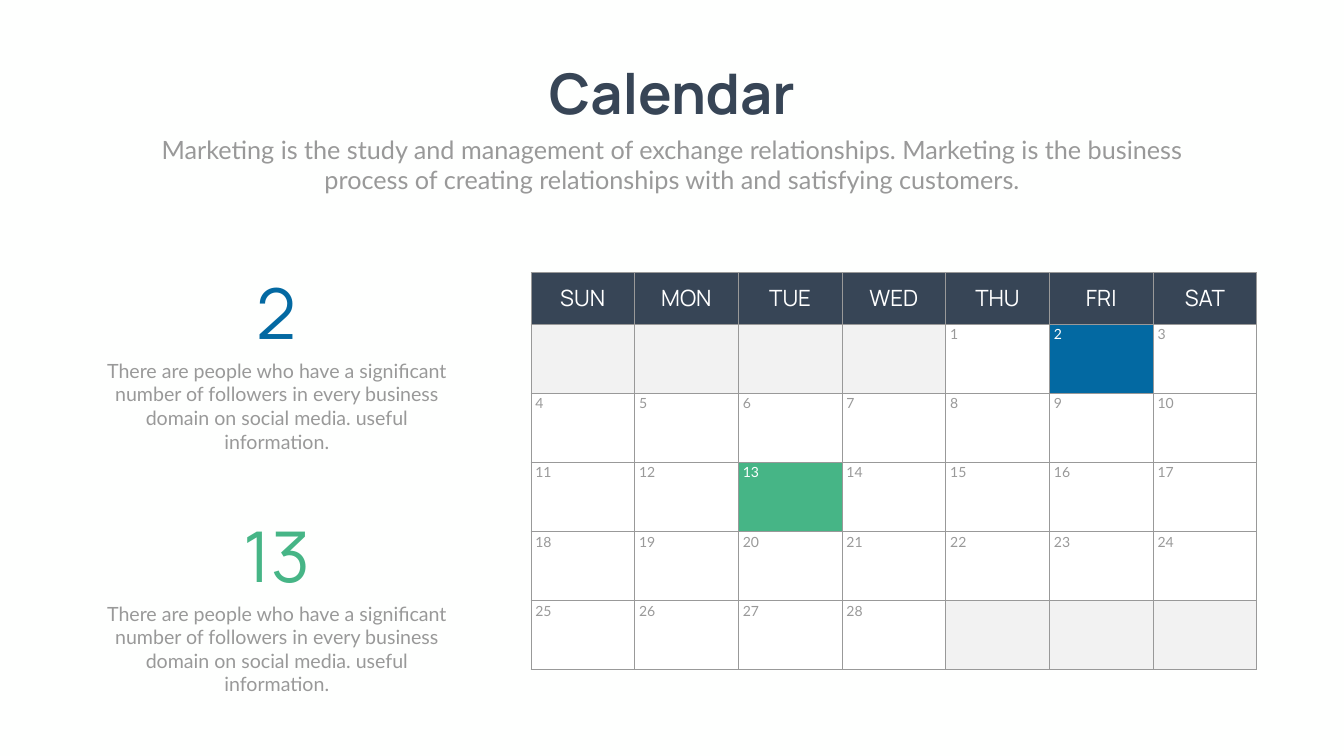
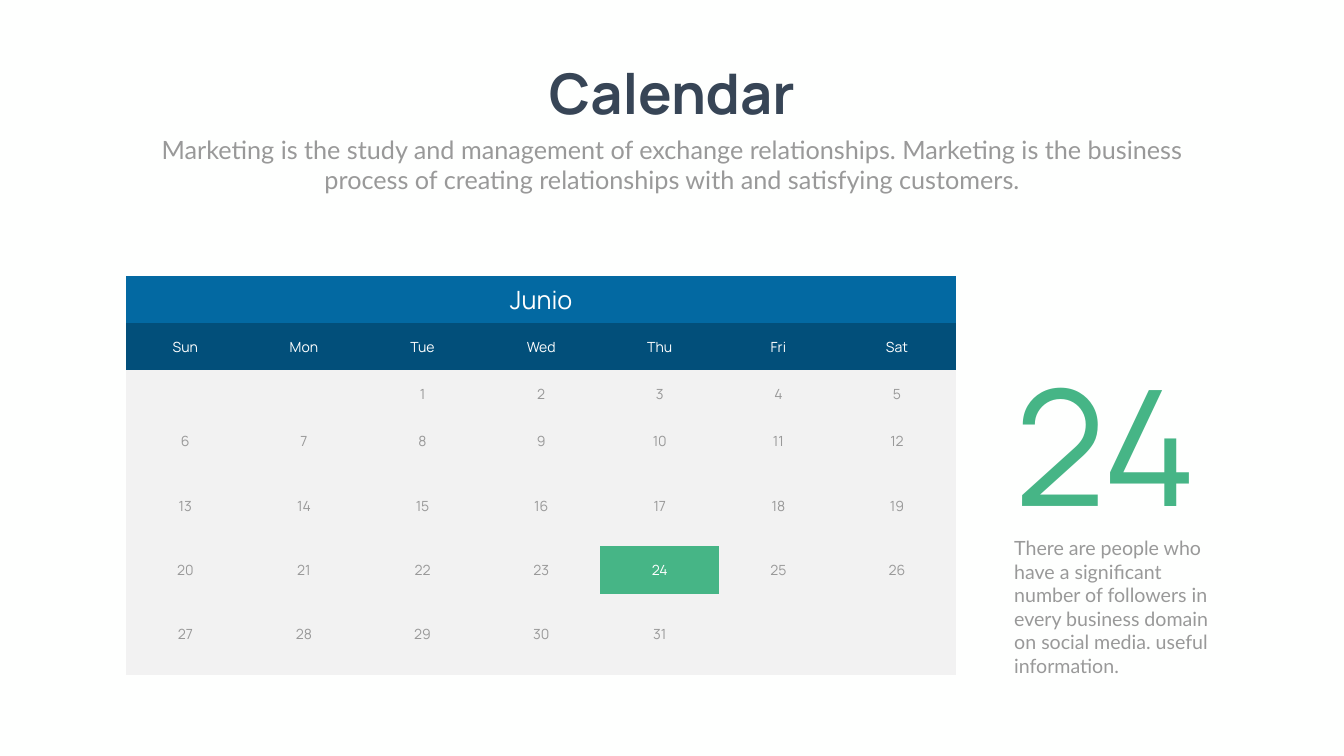
from lxml import etree
from pptx import Presentation
from pptx import util as u
from pptx.dml.color import RGBColor
from pptx.enum import text
from pptx.oxml import ns

PX = 9144  # EMU per px, 100 px to the inch
COLORS = {
    "page": "FEFFFE", "navy": "374556", "gray": "999999", "white": "FFFFFF",
    "pale": "F2F2F2", "blue": "0369A2", "deep": "024F7A", "green": "46B586",
}
HEAD_FONT, BODY_FONT = "Manrope", "Lato"
NO_STYLE = "{2D5ABB26-0587-4C30-8999-92F81FD0307C}"
LEFT, CENTER = text.PP_ALIGN.LEFT, text.PP_ALIGN.CENTER
TOP, MIDDLE = text.MSO_ANCHOR.TOP, text.MSO_ANCHOR.MIDDLE

SUBTITLE = ("Marketing is the study and management of exchange relationships. "
            "Marketing is the business process of creating relationships with "
            "and satisfying customers.")
NOTE = ("There are people who have a significant number of followers in every "
        "business domain on social media. useful information.")
DAYS = ["Sun", "Mon", "Tue", "Wed", "Thu", "Fri", "Sat"]


def rgb(name):
    return RGBColor.from_string(COLORS[name])


def emu(box):
    return [u.Emu(side * PX) for side in box]


def write(frame, words, size, font, color, align=CENTER, bold=False):
    frame.text = words
    para = frame.paragraphs[0]
    para.alignment = align
    para.font.size = u.Pt(size)
    para.font.name = font
    para.font.bold = bold
    para.font.color.rgb = rgb(color)


def add_label(shapes, box, words, size, font, color, align=CENTER):
    frame = shapes.add_textbox(*emu(box)).text_frame
    frame.word_wrap = True
    frame.auto_size = text.MSO_AUTO_SIZE.SHAPE_TO_FIT_TEXT
    write(frame, words, size, font, color, align)


# Title and subtitle shared by both slides
def add_page(deck):
    page = deck.slides.add_slide(deck.slide_layouts[5])
    title = page.shapes.title
    title.left, title.top, title.width, title.height = emu((1053, 112, 560, 145))
    frame = title.text_frame
    frame.word_wrap = False
    frame.vertical_anchor = TOP
    frame.auto_size = text.MSO_AUTO_SIZE.SHAPE_TO_FIT_TEXT
    write(frame, "Calendar", 80, HEAD_FONT, "navy", bold=True)
    add_label(page.shapes, (292, 261, 2082, 131), SUBTITLE, 36, BODY_FONT, "gray")
    return page


# Large date with a note below it
def add_callout(page, number_box, note_box, number, size, color, align):
    shapes = page.shapes.add_group_shape().shapes
    add_label(shapes, note_box, NOTE, 28, BODY_FONT, "gray", align)
    add_label(shapes, number_box, number, size, HEAD_FONT, color, align)


# Table helpers
def add_grid(page, box, heights):
    frame = page.shapes.add_table(len(heights), len(DAYS), *emu(box))
    table = frame.table
    table.first_row = table.horz_banding = False
    table._tbl.tblPr.find(ns.qn("a:tableStyleId")).text = NO_STYLE
    for column in table.columns:
        column.width = u.Emu(round(box[2] * PX / len(DAYS)))
    for row, height in zip(table.rows, heights):
        row.height = u.Emu(height * PX)
    return table


def add_borders(cell, color):
    for side in ("lnL", "lnR", "lnT", "lnB"):
        line = etree.SubElement(cell._tc.get_or_add_tcPr(), ns.qn(f"a:{side}"),
                                w=str(u.Pt(1)))
        fill = etree.SubElement(line, ns.qn("a:solidFill"))
        etree.SubElement(fill, ns.qn("a:srgbClr"), val=COLORS[color])


def fill_cell(cell, fill, words="", size=20, font=HEAD_FONT, color="white",
              align=CENTER, anchor=MIDDLE):
    cell.fill.solid()
    cell.fill.fore_color.rgb = rgb(fill)
    cell.vertical_anchor = anchor
    if words:
        write(cell.text_frame, words, size, font, color, align)


def fill_days(table, first_row, offset, last_day, marked, day_fill, **style):
    for row in range(first_row, len(table.rows)):
        for column in range(len(DAYS)):
            day = (row - first_row) * len(DAYS) + column - offset + 1
            cell = table.cell(row, column)
            if 1 <= day <= last_day:
                fill_cell(cell, marked.get(day, day_fill), str(day),
                          color="white" if day in marked else "gray", **style)
            else:
                fill_cell(cell, "pale")


# Calendar with ruled cells
def add_ruled_calendar(page, box):
    table = add_grid(page, box, [102] + [137] * 5)
    for cell in table.iter_cells():
        add_borders(cell, "gray")
        cell.margin_left = cell.margin_right = u.Emu(9 * PX)
        cell.margin_top = cell.margin_bottom = u.Emu(4 * PX)
    for column, day in enumerate(DAYS):
        fill_cell(table.cell(0, column), "navy", day.upper(), 32)
    fill_days(table, 1, 4, 28, {2: "blue", 13: "green"}, "white",
              font=BODY_FONT, align=LEFT, anchor=TOP)


# Calendar with a month band and no lines
def add_month_calendar(page, box):
    table = add_grid(page, box, [94, 94, 94, 94, 161, 94, 161])
    table.cell(0, 0).merge(table.cell(0, len(DAYS) - 1))
    fill_cell(table.cell(0, 0), "blue", "Junio", 36)
    for column, day in enumerate(DAYS):
        fill_cell(table.cell(1, column), "deep", day)
    fill_days(table, 2, 2, 31, {24: "green"}, "pale")


def build_ruled_slide(deck):
    page = add_page(deck)
    add_ruled_calendar(page, (1053, 541, 1440, 787))
    for top, number, color in ((529, "2", "blue"), (1011, "13", "green")):
        add_callout(page, (361, top, 376, 178), (173, top + 178, 752, 151),
                    number, 100, color, CENTER)


def build_month_slide(deck):
    page = add_page(deck)
    add_month_calendar(page, (250, 547, 1647, 792))
    add_callout(page, (2002, 680, 470, 397), (2002, 1059, 437, 293),
                "24", 230, "green", LEFT)


def main():
    deck = Presentation()
    deck.slide_width, deck.slide_height = emu((2666, 1500))
    background = deck.slide_master.background.fill
    background.solid()
    background.fore_color.rgb = rgb("page")
    build_ruled_slide(deck)
    build_month_slide(deck)
    deck.save("out.pptx")


if __name__ == "__main__":
    main()
